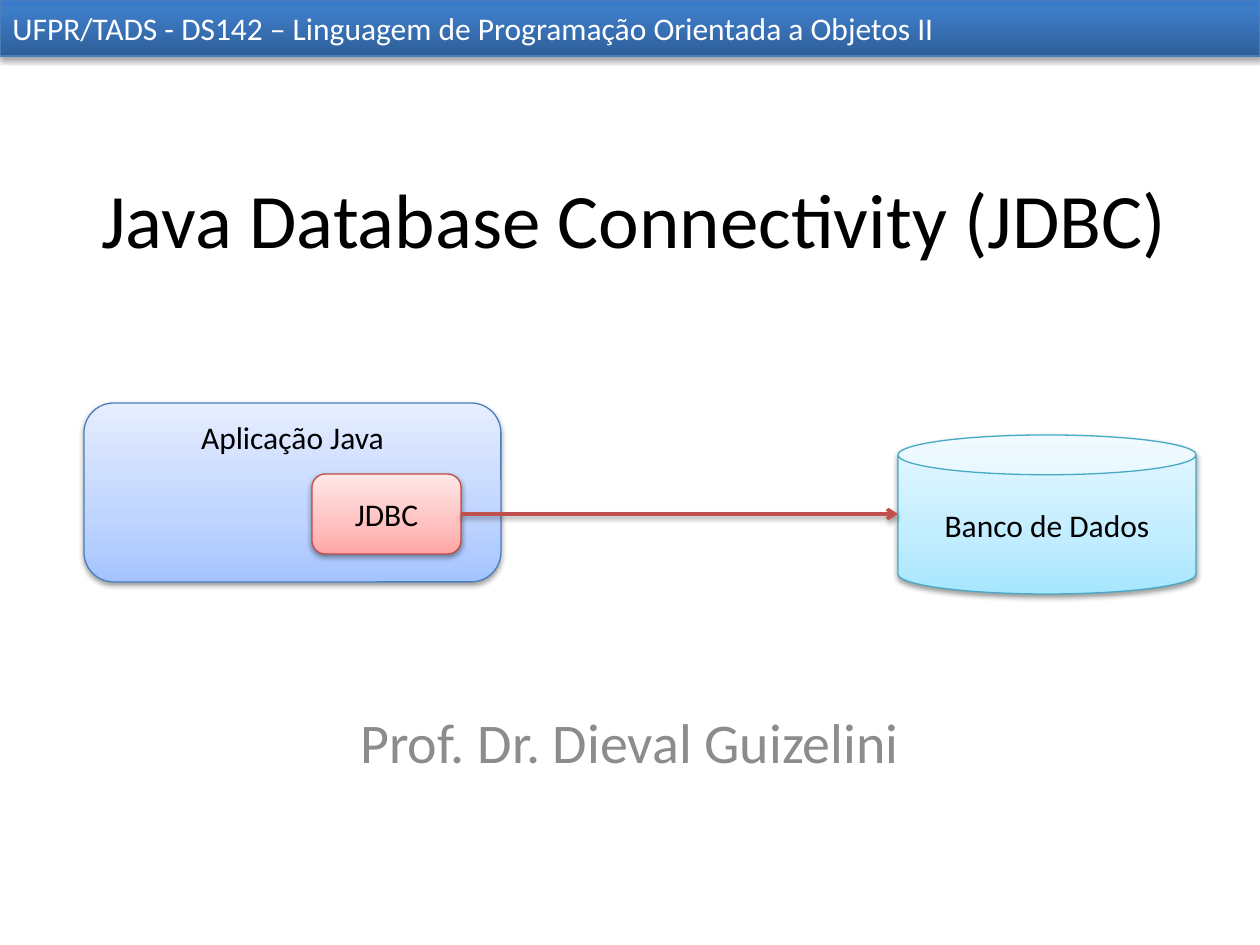
from lxml.etree import SubElement
from pptx import Presentation
from pptx.dml.color import RGBColor
from pptx.enum.shapes import MSO_CONNECTOR, MSO_SHAPE
from pptx.enum.text import MSO_ANCHOR, MSO_AUTO_SIZE, PP_ALIGN
from pptx.oxml.ns import qn
from pptx.util import Emu, Pt

EMU_PER_PX = 914400 / 126
FONT = "Calibri"
BLACK = RGBColor(0x00, 0x00, 0x00)
WHITE = RGBColor(0xFF, 0xFF, 0xFF)
GREY = RGBColor(0x8C, 0x8C, 0x8C)
BLUE_LINE = RGBColor(0x4B, 0x7E, 0xBC)
CYAN_LINE = RGBColor(0x46, 0xAA, 0xC5)
RED_LINE = RGBColor(0xBF, 0x4C, 0x48)
ARROW_RED = RGBColor(0xC0, 0x50, 0x4D)
HEADER_STOPS = [
    (0, RGBColor(0x2F, 0x5F, 0x99)),
    (80, RGBColor(0x3D, 0x7C, 0xC7)),
    (100, RGBColor(0x3A, 0x7C, 0xCB)),
]
CYAN_STOPS = [
    (0, RGBColor(0xA7, 0xE6, 0xFF)),
    (35, RGBColor(0xC1, 0xED, 0xFF)),
    (100, RGBColor(0xE7, 0xF8, 0xFF)),
]
BLUE_STOPS = [
    (0, RGBColor(0xA4, 0xC4, 0xFF)),
    (35, RGBColor(0xBF, 0xD4, 0xFF)),
    (100, RGBColor(0xE6, 0xEE, 0xFF)),
]
RED_STOPS = [
    (0, RGBColor(0xFF, 0xA6, 0xA5)),
    (35, RGBColor(0xFF, 0xC0, 0xBF)),
    (100, RGBColor(0xFF, 0xE7, 0xE7)),
]


def px(value):
    """Turn px into EMU."""
    return Emu(round(value * EMU_PER_PX))


def write_text(shape, text, size, color, align=PP_ALIGN.CENTER, anchor=MSO_ANCHOR.MIDDLE):
    """Put one formatted paragraph into a shape."""
    frame = shape.text_frame
    frame.text = text
    frame.word_wrap = True
    frame.auto_size = MSO_AUTO_SIZE.NONE
    frame.vertical_anchor = anchor
    para = frame.paragraphs[0]
    para.alignment = align
    para.font.name = FONT
    para.font.size = Pt(size)
    para.font.color.rgb = color


def fill_placeholder(holder, bounds, text, size, color, anchor):
    """Move a placeholder and write its text."""
    holder.left, holder.top, holder.width, holder.height = map(px, bounds)
    write_text(holder, text, size, color, anchor=anchor)


def fill_gradient(shape, stops):
    """Fill a shape with colour stops running from bottom to top."""
    shape.fill.gradient()
    shape.fill.gradient_angle = 90
    stop_list = shape.element.spPr.find(".//" + qn("a:gsLst"))
    for old_stop in list(stop_list):
        stop_list.remove(old_stop)
    for percent, color in stops:
        stop = SubElement(stop_list, qn("a:gs"), pos=str(percent * 1000))
        SubElement(stop, qn("a:srgbClr"), val=str(color))


def add_shadow(shape, opacity=38, distance=1.6):
    """Give a shape or connector a soft shadow straight below it."""
    effects = SubElement(shape.element.spPr, qn("a:effectLst"))
    shadow = SubElement(
        effects, qn("a:outerShdw"), blurRad=str(Pt(3.1)), dist=str(Pt(distance)),
        dir="5400000", rotWithShape="0",
    )
    color = SubElement(shadow, qn("a:srgbClr"), val=str(BLACK))
    SubElement(color, qn("a:alpha"), val=str(opacity * 1000))


def add_box(page, kind, bounds, stops, line_color):
    """Add a gradient shape with a thin outline."""
    box = page.shapes.add_shape(kind, *map(px, bounds))
    fill_gradient(box, stops)
    box.line.color.rgb = line_color
    box.line.width = Pt(0.75)
    return box


def add_header(page, text):
    """Add the course band across the top."""
    band = add_box(page, MSO_SHAPE.RECTANGLE, (0, 0, 1260, 56), HEADER_STOPS, BLUE_LINE)
    add_shadow(band, 35, 1.8)
    write_text(band, text, 18, WHITE, PP_ALIGN.LEFT)


def add_node(page, kind, bounds, stops, line_color, text, anchor=MSO_ANCHOR.MIDDLE):
    """Add a labelled diagram node."""
    node = add_box(page, kind, bounds, stops, line_color)
    add_shadow(node)
    write_text(node, text, 18, BLACK, anchor=anchor)
    return node


def add_arrow(page, source, target):
    """Draw a level arrow from the right of one node to the left of another."""
    middle = source.top + source.height // 2
    arrow = page.shapes.add_connector(
        MSO_CONNECTOR.STRAIGHT, source.left + source.width, middle, target.left, middle
    )
    arrow.line.color.rgb = ARROW_RED
    arrow.line.width = Pt(2)
    SubElement(arrow.element.spPr.find(qn("a:ln")), qn("a:tailEnd"), type="arrow")
    add_shadow(arrow)


def main():
    """Build the opening slide and save it."""
    deck = Presentation()
    deck.slide_width, deck.slide_height = px(1260), px(945)
    page = deck.slides.add_slide(deck.slide_layouts[0])
    fill_placeholder(page.shapes.title, (44, 116, 1181, 203),
                     "Java Database Connectivity (JDBC)", 44, BLACK, MSO_ANCHOR.MIDDLE)
    fill_placeholder(page.placeholders[1], (189, 701, 882, 126),
                     "Prof. Dr. Dieval Guizelini", 32, GREY, MSO_ANCHOR.TOP)
    add_header(page, "UFPR/TADS - DS142 – Linguagem de Programação Orientada a Objetos II")
    database = add_node(page, MSO_SHAPE.CAN, (898, 435, 298, 159),
                        CYAN_STOPS, CYAN_LINE, "Banco de Dados")
    add_node(page, MSO_SHAPE.ROUNDED_RECTANGLE, (84, 403, 417, 179),
             BLUE_STOPS, BLUE_LINE, "Aplicação Java", MSO_ANCHOR.TOP)
    driver = add_node(page, MSO_SHAPE.ROUNDED_RECTANGLE, (312, 474, 149, 80),
                      RED_STOPS, RED_LINE, "JDBC")
    add_arrow(page, driver, database)
    deck.save("out.pptx")


if __name__ == "__main__":
    main()
